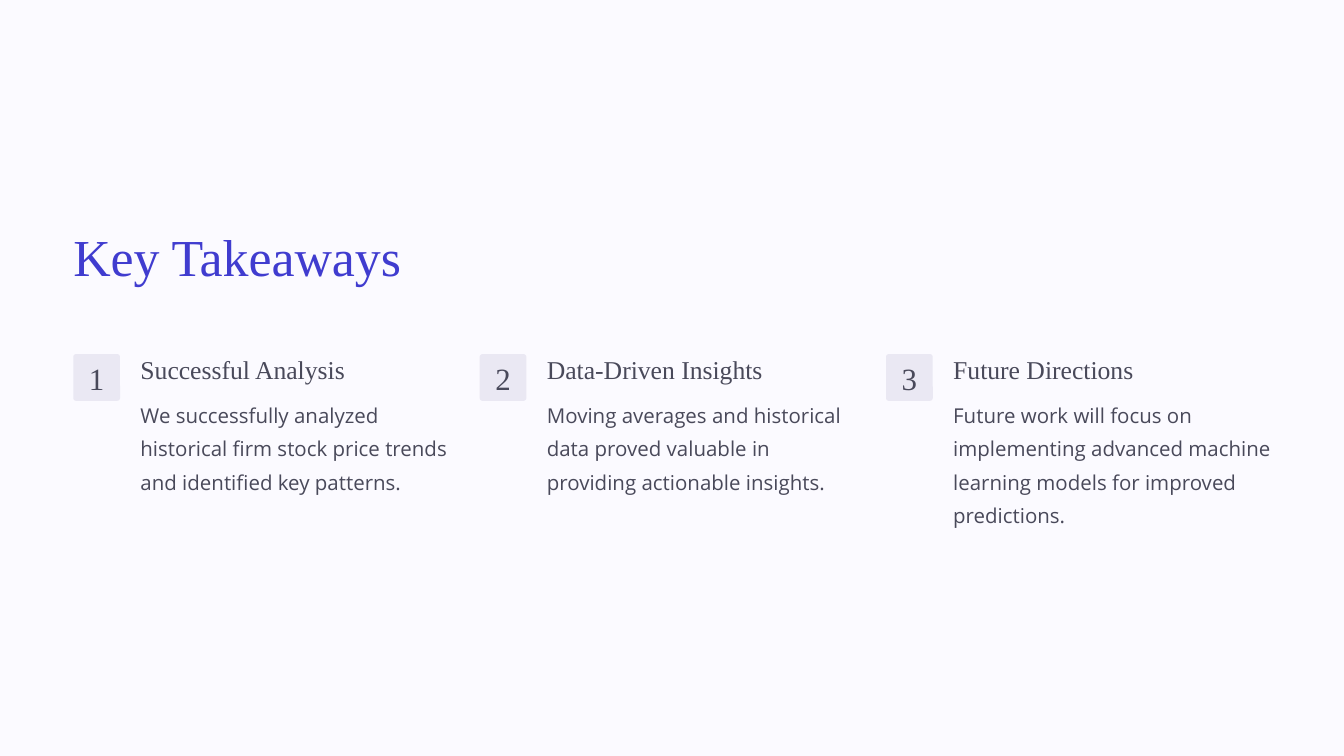
from typing import NamedTuple

from pptx import Presentation
from pptx.dml.color import RGBColor
from pptx.enum.shapes import MSO_SHAPE
from pptx.enum.text import MSO_ANCHOR, PP_ALIGN
from pptx.slide import Slide
from pptx.text.text import TextFrame
from pptx.util import Pt

COLORS = {"background": "FBFAFF", "title": "403CCF", "badge": "EAE8F3", "text": "49495A"}
SERIF, SANS = "Times New Roman", "Open Sans"

# Column grid, in points
LEFT, PITCH = 78.5, 435.4
BADGE_TOP, BADGE_SIZE = 379.4, 50.1
TEXT_INDENT, TEXT_WIDTH = 72, 340.6


class Style(NamedTuple):
    font: str
    size: float
    leading: float
    color: str = "text"
    align: PP_ALIGN = PP_ALIGN.LEFT


class Takeaway(NamedTuple):
    heading: str
    body: str


TITLE = Style(SERIF, 55.6, 69.4, "title")
NUMBER = Style(SERIF, 33.1, 33.1, align=PP_ALIGN.CENTER)
HEADING = Style(SERIF, 27.5, 34.4)
BODY = Style(SANS, 21.9, 35.6)

TAKEAWAYS = [
    Takeaway("Successful Analysis",
             "We successfully analyzed historical firm stock price trends "
             "and identified key patterns."),
    Takeaway("Data-Driven Insights",
             "Moving averages and historical data proved valuable in providing "
             "actionable insights."),
    Takeaway("Future Directions",
             "Future work will focus on implementing advanced machine learning "
             "models for improved predictions."),
]


def rgb(name: str) -> RGBColor:
    return RGBColor.from_string(COLORS[name])


def set_text(tf: TextFrame, text: str, style: Style, top: float = 0) -> None:
    tf.word_wrap = True
    tf.vertical_anchor = MSO_ANCHOR.TOP
    tf.margin_left = tf.margin_right = tf.margin_bottom = 0
    tf.margin_top = Pt(top)
    p = tf.paragraphs[0]
    p.text = text
    p.alignment = style.align
    p.line_spacing = Pt(style.leading)
    p.font.name = style.font
    p.font.size = Pt(style.size)
    p.font.color.rgb = rgb(style.color)


def add_text(s: Slide, text: str, style: Style,
             x: float, y: float, w: float, h: float) -> None:
    sp = s.shapes.add_textbox(Pt(x), Pt(y), Pt(w), Pt(h))
    set_text(sp.text_frame, text, style)


def add_badge(s: Slide, number: int, x: float) -> None:
    sp = s.shapes.add_shape(MSO_SHAPE.ROUNDED_RECTANGLE, Pt(x), Pt(BADGE_TOP),
                            Pt(BADGE_SIZE), Pt(BADGE_SIZE))
    sp.adjustments[0] = 0.06
    sp.shadow.inherit = False
    sp.fill.solid()
    sp.fill.fore_color.rgb = rgb("badge")
    sp.line.fill.background()
    set_text(sp.text_frame, str(number), NUMBER, top=11.6)


def add_takeaway(s: Slide, number: int, item: Takeaway) -> None:
    x = LEFT + (number - 1) * PITCH
    add_badge(s, number, x)
    add_text(s, item.heading, HEADING, x + TEXT_INDENT, 378, TEXT_WIDTH, 36)
    add_text(s, item.body, BODY, x + TEXT_INDENT, 422.6, TEXT_WIDTH, 147.6)


def main() -> None:
    prs = Presentation()
    prs.slide_width, prs.slide_height = Pt(1440), Pt(810)
    s = prs.slides.add_slide(prs.slide_layouts[6])

    # Background
    s.background.fill.solid()
    s.background.fill.fore_color.rgb = rgb("background")

    # Title
    add_text(s, "Key Takeaways", TITLE, LEFT, 238.3, 558, 83.5)

    # Numbered columns
    for number, item in enumerate(TAKEAWAYS, start=1):
        add_takeaway(s, number, item)

    prs.save("out.pptx")


if __name__ == "__main__":
    main()
